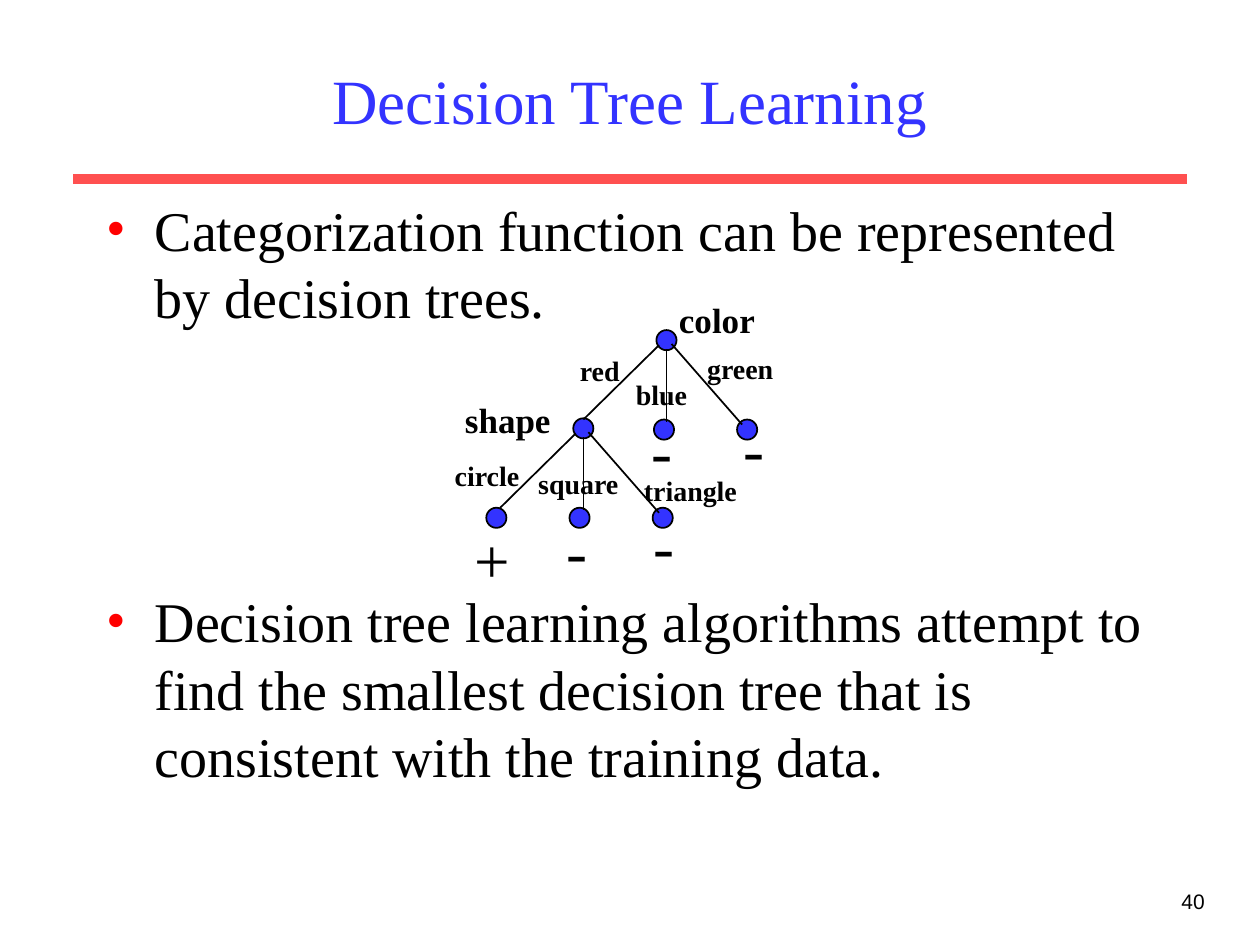
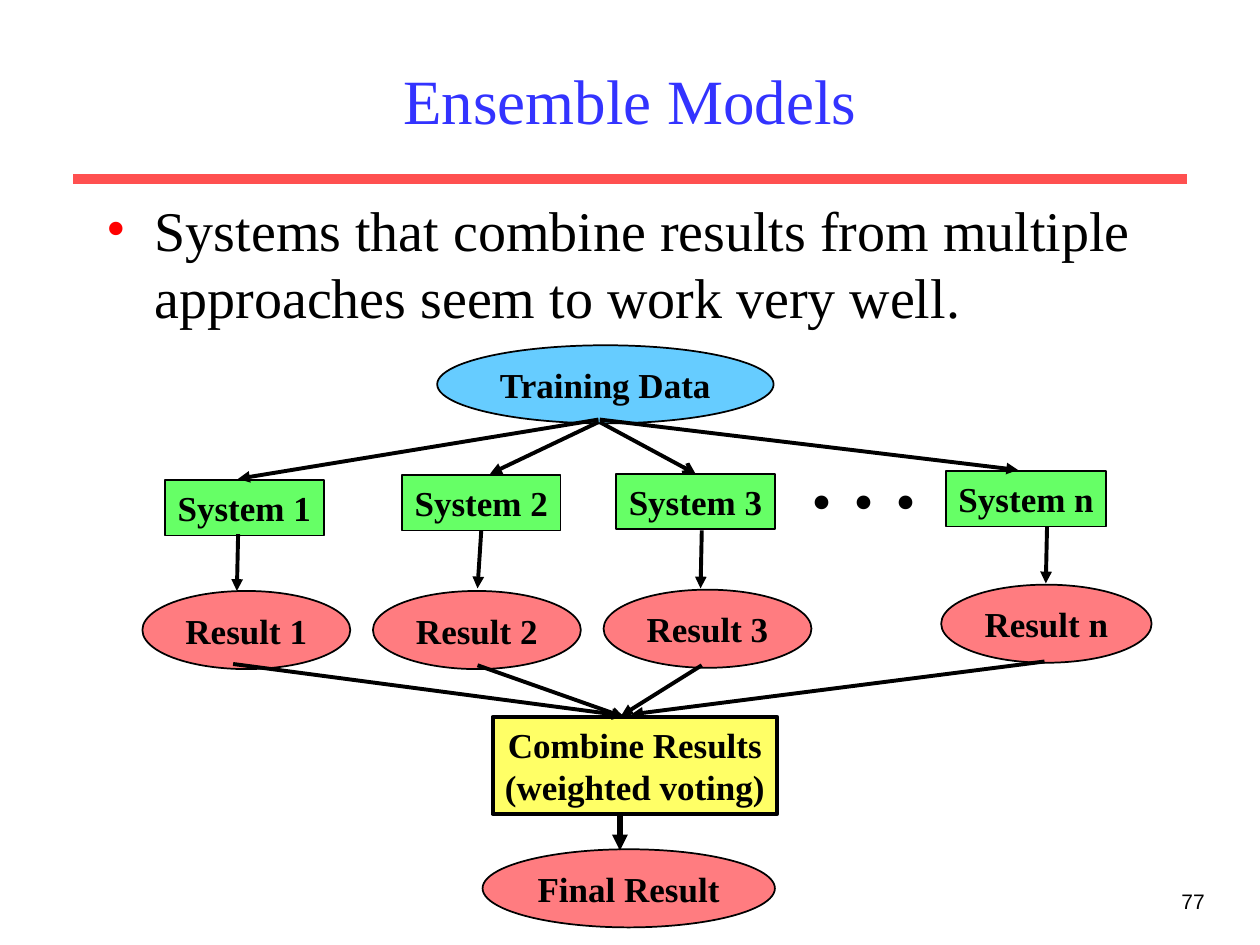
"""Build two lecture slides: decision tree learning and ensemble models."""
from lxml import etree
from pptx import Presentation
from pptx import util as u
from pptx.dml.color import RGBColor
from pptx.enum import shapes, text
from pptx.oxml import ns

SERIF, SANS = "Times New Roman", "Arial"
BLACK, BLUE, RED, BAND = "000000", "3333FF", "FF0000", "FF5050"
SKY, GREEN, PINK, YELLOW = "66CCFF", "66FF66", "FF7C80", "FFFF66"
OVAL, BOX = shapes.MSO_SHAPE.OVAL, shapes.MSO_SHAPE.RECTANGLE
LEFT, CENTER, RIGHT = text.PP_ALIGN.LEFT, text.PP_ALIGN.CENTER, text.PP_ALIGN.RIGHT


def add_block(slide, place, lines=(), size=20, bold=False, color=BLACK, font=SERIF,
              align=CENTER, wrap=False, middle=False, kind=None, fill=None, border=1):
    """Add a text box, or a filled preset shape when a kind is given."""
    area = [u.Inches(length) for length in place]
    if kind is None:
        shape = slide.shapes.add_textbox(*area)
    else:
        shape = slide.shapes.add_shape(kind, *area)
        shape.shadow.inherit = False
        shape.fill.solid()
        shape.fill.fore_color.rgb = RGBColor.from_string(fill)
        shape.line.color.rgb = RGBColor.from_string(BLACK)
        shape.line.width = u.Pt(border)
    frame = shape.text_frame
    frame.word_wrap = wrap
    frame.vertical_anchor = text.MSO_ANCHOR.MIDDLE if middle else text.MSO_ANCHOR.TOP
    for index, line in enumerate(lines):
        paragraph = frame.add_paragraph() if index else frame.paragraphs[0]
        paragraph.alignment = align
        run = paragraph.add_run()
        run.text = line
        run.font.name, run.font.size, run.font.bold = font, u.Pt(size), bold
        run.font.color.rgb = RGBColor.from_string(color)
    return shape


def add_line(slide, start, end, width=1, color=BLACK, arrow=None):
    """Add a straight line, with an arrowhead at its end when one is named."""
    points = [u.Inches(length) for length in (*start, *end)]
    connector = slide.shapes.add_connector(shapes.MSO_CONNECTOR.STRAIGHT, *points)
    connector.line.color.rgb = RGBColor.from_string(color)
    connector.line.width = u.Pt(width)
    if arrow:
        etree.SubElement(connector.line._get_or_add_ln(), ns.qn("a:tailEnd"), type=arrow)
    etree.SubElement(connector._element.spPr, ns.qn("a:effectLst"))
    return connector


presentation = Presentation()
presentation.slide_width, presentation.slide_height = u.Inches(10), u.Inches(7.5)

contents = [
    ("Decision Tree Learning", "40", [
        "Categorization function can be represented by decision trees.",
        "Decision tree learning algorithms attempt to find the smallest decision tree "
        "that is consistent with the training data."]),
    ("Ensemble Models", "77", [
        "Systems that combine results from multiple approaches seem to work very well."]),
]
for title, number, bullets in contents:
    slide = presentation.slides.add_slide(presentation.slide_layouts[6])
    add_line(slide, (0.58, 1.42), (9.42, 1.42), 6, BAND)
    add_block(slide, (7.58, 7, 2.08, 0.5), [number], 12, font=SANS, align=RIGHT, wrap=True)
    add_block(slide, (0.75, 0.25, 8.5, 1.08), [title], 36, color=BLUE, wrap=True, middle=True)
    body = add_block(slide, (0.75, 1.5, 8.5, 5.13), bullets, 32, align=LEFT, wrap=True)
    for index, paragraph in enumerate(body.text_frame.paragraphs):
        if index:
            paragraph.space_before = u.Pt(147)
        properties = paragraph._p.get_or_add_pPr()
        properties.set("marL", str(u.Inches(0.38)))
        properties.set("indent", str(u.Inches(-0.38)))
        bullet_color = etree.SubElement(properties, ns.qn("a:buClr"))
        etree.SubElement(bullet_color, ns.qn("a:srgbClr"), val=RED)
        etree.SubElement(properties, ns.qn("a:buFont"), typeface=SERIF)
        etree.SubElement(properties, ns.qn("a:buChar"), char="•")

tree_slide, ensemble_slide = presentation.slides

nodes = [(5.21, 2.62), (4.55, 3.32), (5.19, 3.33), (5.85, 3.33),
         (3.86, 4.03), (4.52, 4.03), (5.18, 4.03)]
for left, top in nodes:
    add_block(tree_slide, (left, top, 0.16, 0.16), kind=OVAL, fill=BLUE)

branches = [((5.23, 2.74), (4.63, 3.33)), ((5.29, 2.77), (5.29, 3.35)),
            ((5.33, 2.73), (5.89, 3.37))]
for shift_x, shift_y in [(0, 0), (-0.66, 0.7)]:
    for branch in branches:
        start, end = [(x + shift_x, y + shift_y) for x, y in branch]
        add_line(tree_slide, start, end)

tree_labels = [
    (20, True, 0.44, [("color", 5.29, 2.32, 0.8), ("shape", 3.59, 3.11, 0.88)]),
    (16, True, 0.37, [("red", 4.5, 2.76, 0.52), ("blue", 4.9, 2.95, 0.7),
                      ("green", 5.51, 2.74, 0.73), ("circle", 3.51, 3.59, 0.71),
                      ("square", 4.17, 3.65, 0.84), ("triangle", 5.01, 3.71, 0.94)]),
    (36, False, 0.7, [("-", 5.07, 3.22, 0.36), ("-", 5.8, 3.2, 0.36), ("-", 5.09, 3.97, 0.36),
                      ("-", 4.4, 4.01, 0.36), ("+", 3.67, 4.08, 0.48)]),
]
for size, bold, height, labels in tree_labels:
    for label, left, top, width in labels:
        add_block(tree_slide, (left, top, width, height), [label], size, bold)

ensemble_blocks = [
    (OVAL, SKY, 1, (3.47, 2.74, 2.67, 0.62), ["Training Data"]),
    (BOX, GREEN, 1, (1.31, 3.81, 1.26, 0.44), ["System 1"]),
    (BOX, GREEN, 1, (3.19, 3.77, 1.26, 0.44), ["System 2"]),
    (BOX, GREEN, 1, (4.89, 3.76, 1.26, 0.44), ["System 3"]),
    (BOX, GREEN, 1, (7.51, 3.74, 1.27, 0.44), ["System n"]),
    (OVAL, PINK, 1, (1.13, 4.69, 1.65, 0.62), ["Result 1"]),
    (OVAL, PINK, 1, (2.96, 4.69, 1.65, 0.62), ["Result 2"]),
    (OVAL, PINK, 1, (4.79, 4.68, 1.65, 0.62), ["Result 3"]),
    (OVAL, PINK, 1, (7.47, 4.64, 1.67, 0.62), ["Result n"]),
    (BOX, YELLOW, 2.25, (3.91, 5.69, 2.26, 0.77), ["Combine Results", "(weighted voting)"]),
    (OVAL, PINK, 1, (3.83, 6.74, 2.32, 0.62), ["Final Result"]),
]
blocks = {}
for kind, fill, border, place, lines in ensemble_blocks:
    blocks[lines[0]] = add_block(ensemble_slide, place, lines, bold=True, middle=True,
                                 kind=kind, fill=fill, border=border)
add_block(ensemble_slide, (6.34, 3.32, 1.03, 0.9), [". . ."], 48, True)

training_arrows = [((4.75, 3.33), (1.89, 3.8)), ((4.75, 3.35), (3.89, 3.76)),
                   ((4.76, 3.35), (5.51, 3.75)), ((4.76, 3.33), (8.08, 3.73))]
result_arrows = [((1.89, 4.24), (1.88, 4.69)), ((3.81, 4.22), (3.79, 4.67)),
                 ((5.57, 4.21), (5.56, 4.67)), ((8.31, 4.18), (8.3, 4.63))]
voting_arrows = [((1.85, 5.27), (4.95, 5.68)), ((3.79, 5.28), (4.95, 5.69)),
                 ((5.57, 5.28), (4.93, 5.68)), ((8.29, 5.25), (5.01, 5.67))]
for index, (start, end) in enumerate(training_arrows):
    arrow = add_line(ensemble_slide, start, end, 2.25, arrow="arrow" if index == 2 else "triangle")
    if index == 2:
        arrow.end_connect(blocks["System 3"], 0)
for index, (start, end) in enumerate(result_arrows):
    arrow = add_line(ensemble_slide, start, end, 2.25, arrow="triangle")
    if index == 1:
        arrow.begin_connect(blocks["System 2"], 2)
for start, end in voting_arrows:
    add_line(ensemble_slide, start, end, 2.25, arrow="triangle")
add_line(ensemble_slide, (4.92, 6.47), (4.92, 6.75), 3, arrow="triangle")

presentation.save("out.pptx")
